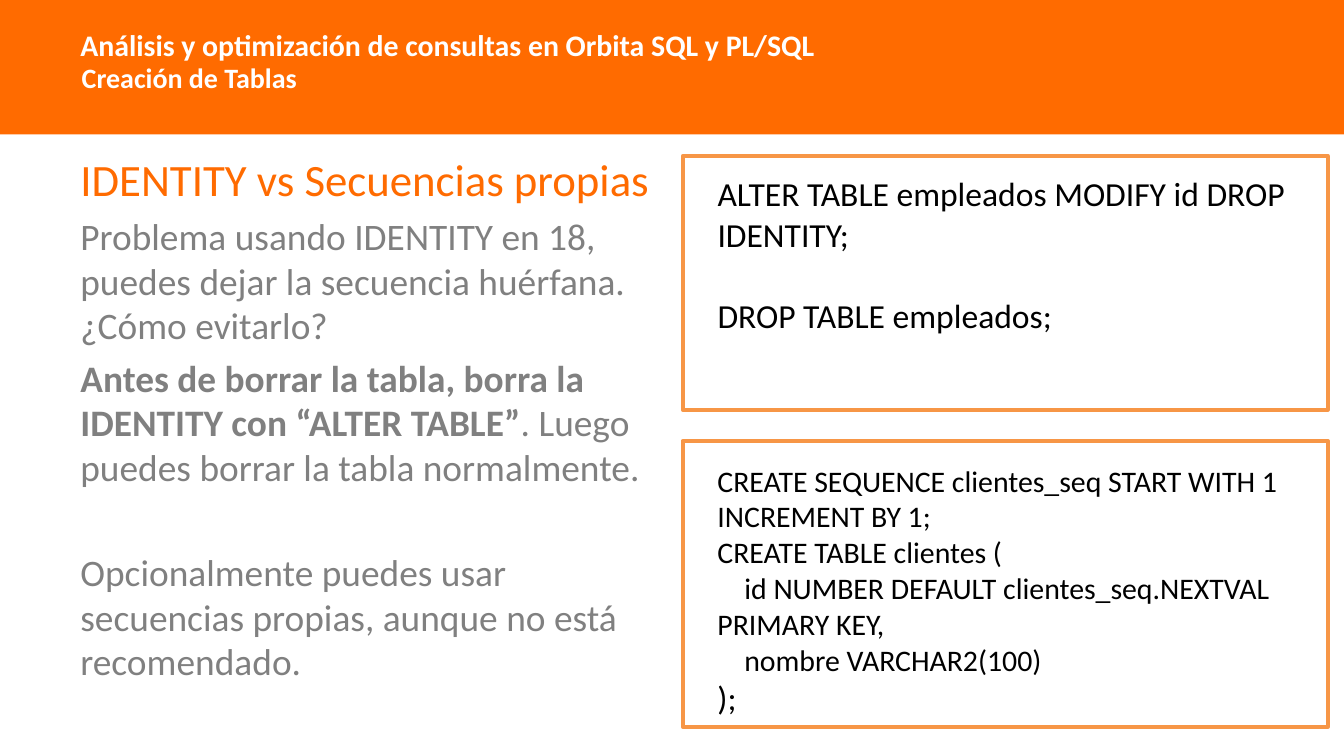
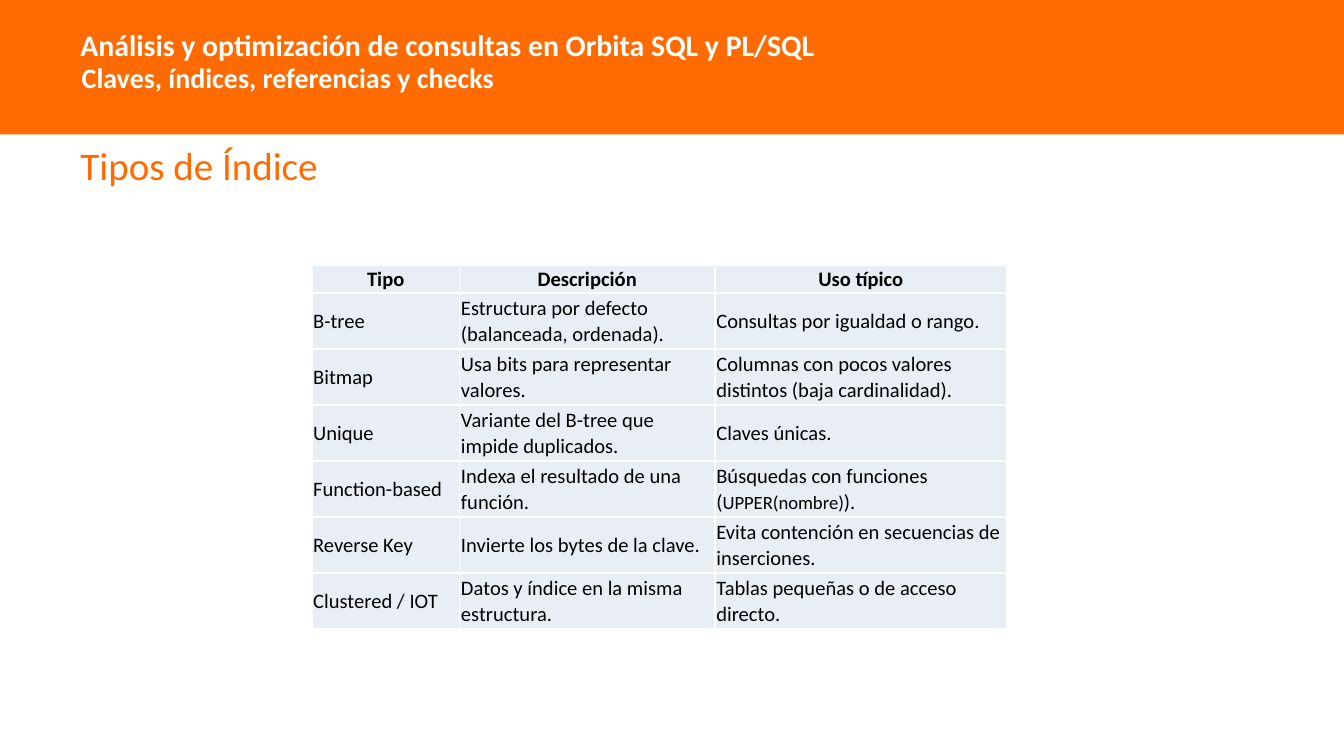
from lxml.etree import SubElement
from pptx import Presentation
from pptx.dml.color import RGBColor as Rgb
from pptx.enum.shapes import MSO_SHAPE as Preset
from pptx.enum.text import MSO_ANCHOR as Anchor, PP_ALIGN as Align
from pptx.oxml.ns import qn
from pptx.util import Inches, Pt

COLORS = {
    "orange": "FF6B00", "frame": "F79646", "gray": "808080",
    "white": "FFFFFF", "black": "000000", "cell": "E9EDF4",
}
FONT = "Calibri"

deck = Presentation()
deck.slide_width = Inches(10)
deck.slide_height = deck.slide_width * 9 // 16
UNIT = deck.slide_width / 100  # square grid, 100 columns across the slide


def place(slide, cells, fill=None, line=None):
    """Put a filled rectangle, or a wrapping text box, on grid cells."""
    lengths = [round(n * UNIT) for n in cells]
    if fill is None:
        area = slide.shapes.add_textbox(*lengths)
        area.text_frame.word_wrap = True
        return area.text_frame
    area = slide.shapes.add_shape(Preset.RECTANGLE, *lengths)
    area.shadow.inherit = False
    area.fill.solid()
    area.fill.fore_color.rgb = Rgb.from_string(COLORS[fill])
    if line:
        area.line.color.rgb = Rgb.from_string(COLORS[line])
        area.line.width = Pt(2)
    else:
        area.line.fill.background()
    return area


def write(frame, text, size, color, bold=False, align=Align.LEFT, before=0, spacing=None):
    """Add a paragraph; text is a string or a list of (text, overrides)."""
    paragraph = frame.paragraphs[-1]
    if paragraph.runs:
        paragraph = frame.add_paragraph()
    paragraph.alignment = align
    paragraph.space_before = Pt(before)
    if spacing:
        paragraph.line_spacing = spacing
    for words, changes in [(text, {})] if isinstance(text, str) else text:
        run = paragraph.add_run()
        run.text = words
        run.font.name = FONT
        run.font.size = Pt(changes.get("size", size))
        run.font.bold = changes.get("bold", bold)
        run.font.color.rgb = Rgb.from_string(COLORS[color])


# Shared band, course title and section name
slides = []
for section in ("Creación de Tablas", "Claves, índices, referencias y checks"):
    slide = deck.slides.add_slide(deck.slide_layouts[6])
    place(slide, (0, 0, 100, 10), fill="orange")
    course = place(slide, (5, 2.1, 75.7, 2.4))
    course.vertical_anchor = Anchor.MIDDLE
    write(course, "Análisis y optimización de consultas en Orbita SQL y PL/SQL",
          16, "white", bold=True)
    write(place(slide, (5.1, 4.5, 75.6, 3.1)), section, 15, "white", bold=True, spacing=0.8)
    slides.append(slide)
sequences, indexes = slides

# Slide 1: explanation
explanation = place(sequences, (5, 10.8, 45, 39.4))
write(explanation, "IDENTITY vs Secuencias propias", 24, "orange")
write(explanation, "Problema usando IDENTITY en 18, puedes dejar la secuencia huérfana. "
      "¿Cómo evitarlo?", 20, "gray", before=4)
write(explanation, [
    ("Antes de borrar la tabla, borra la IDENTITY con “ALTER TABLE”", {"bold": True}),
    (". Luego puedes borrar la tabla normalmente.", {}),
], 20, "gray", before=4)
write(explanation, "Opcionalmente puedes usar secuencias propias, aunque no está recomendado.",
      20, "gray", before=32)

# Slide 1: code panels, each line as (code, size, space before)
code_panels = [
    ((50.8, 32.8, 48, 21.3), (52.4, 33.9, 50, 20.2), [
        ("CREATE SEQUENCE clientes_seq START WITH 1 INCREMENT BY 1;", 16, 0),
        ("CREATE TABLE clientes (", 16, 0),
        ("    id NUMBER DEFAULT clientes_seq.NEXTVAL PRIMARY KEY,", 16, 0),
        ("    nombre VARCHAR2(100)", 16, 0),
        (");", 18, 0),
    ]),
    ((50.8, 11.6, 48, 18.9), (52.4, 12.4, 51.2, 13.1), [
        ("ALTER TABLE empleados MODIFY id DROP IDENTITY;", 18, 0),
        ("DROP TABLE empleados;", 18, 22),
    ]),
]
for border, inside, lines in code_panels:
    place(sequences, border, fill="white", line="frame")
    code = place(sequences, inside)
    for line, size, before in lines:
        write(code, line, size, "black", before=before)

# Slide 2: heading
write(place(indexes, (5, 10, 93.8, 3.9)), "Tipos de Índice", 20.9, "orange")

# Slide 2: index types
index_types = [
    ("Tipo", "Descripción", "Uso típico"),
    ("B-tree", "Estructura por defecto (balanceada, ordenada).",
     "Consultas por igualdad o rango."),
    ("Bitmap", "Usa bits para representar valores.",
     "Columnas con pocos valores distintos (baja cardinalidad)."),
    ("Unique", "Variante del B-tree que impide duplicados.", "Claves únicas."),
    ("Function-based", "Indexa el resultado de una función.",
     [("Búsquedas con funciones (", {}), ("UPPER(nombre)", {"size": 10}), (").", {})]),
    ("Reverse Key", "Invierte los bytes de la clave.",
     "Evita contención en secuencias de inserciones."),
    ("Clustered / IOT", "Datos y índice en la misma estructura.",
     "Tablas pequeñas o de acceso directo."),
]
column_widths = (11, 19, 21.7)
row_heights = [2.08] + [4.17] * (len(index_types) - 1)
grid = indexes.shapes.add_table(
    len(row_heights), len(column_widths),
    *(round(n * UNIT) for n in (23.2, 19.7, sum(column_widths), sum(row_heights)))).table
for column, width in zip(grid.columns, column_widths):
    column.width = round(width * UNIT)
for row, height, entries in zip(grid.rows, row_heights, index_types):
    row.height = round(height * UNIT)
    heading = entries is index_types[0]
    for cell, entry in zip(row.cells, entries):
        cell.vertical_anchor = Anchor.MIDDLE
        cell.margin_left = cell.margin_right = cell.margin_top = Inches(0.01)
        cell.margin_bottom = 0
        write(cell.text_frame, entry, 11, "black", bold=heading,
              align=Align.CENTER if heading else Align.LEFT)
        properties = cell._tc.get_or_add_tcPr()
        for side in ("a:lnL", "a:lnR", "a:lnT", "a:lnB"):
            edge = SubElement(properties, qn(side), w=str(Pt(1)))
            SubElement(SubElement(edge, qn("a:solidFill")), qn("a:srgbClr"), val=COLORS["white"])
        cell.fill.solid()
        cell.fill.fore_color.rgb = Rgb.from_string(COLORS["cell"])

deck.save("out.pptx")
